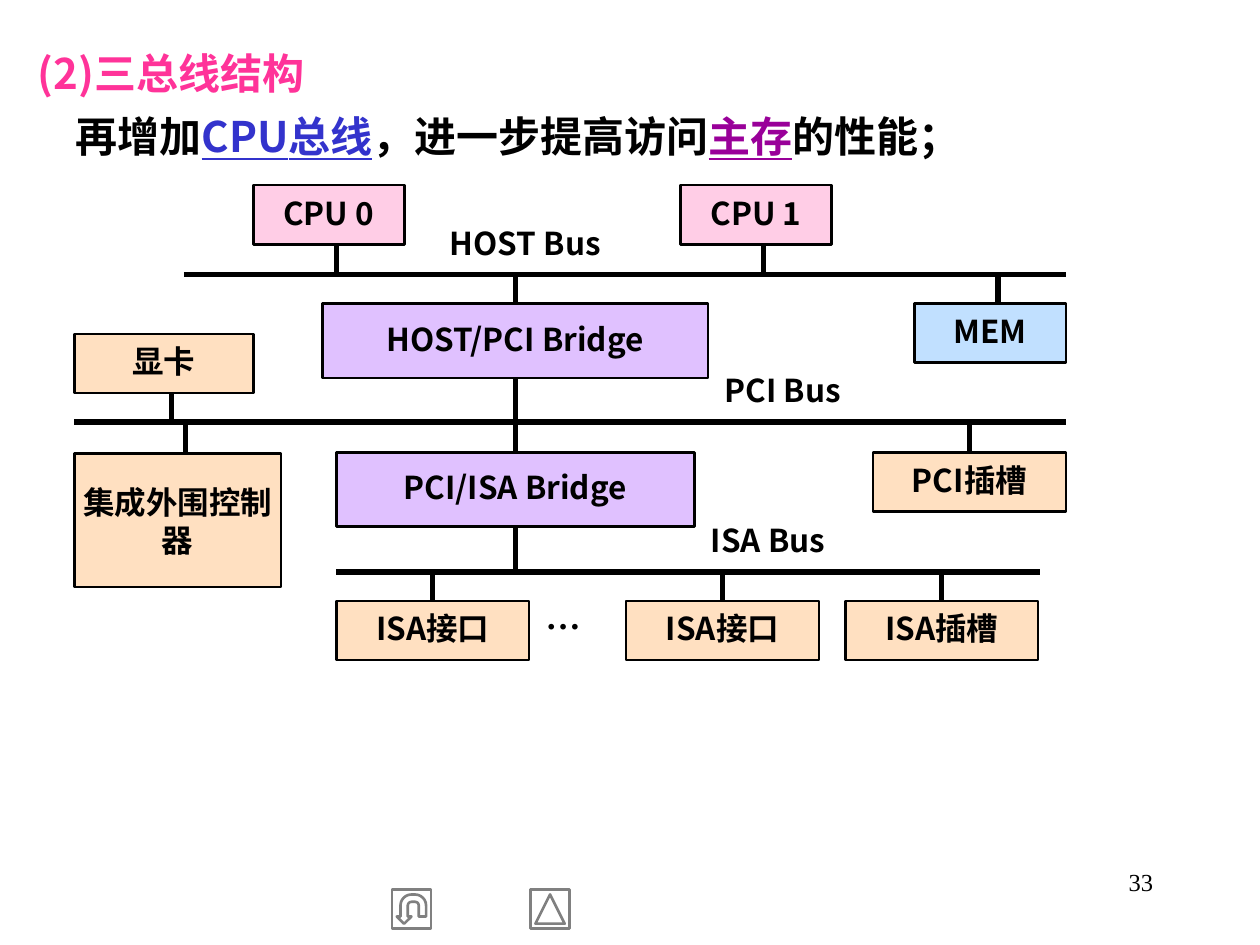
from typing import NamedTuple, Optional

from lxml.etree import SubElement
from pptx import Presentation
from pptx.dml.color import RGBColor
from pptx.enum.shapes import MSO_CONNECTOR, MSO_SHAPE
from pptx.enum.text import MSO_ANCHOR as ANCHOR, MSO_AUTO_SIZE as AUTO_SIZE, PP_ALIGN as ALIGN
from pptx.oxml.ns import qn
from pptx.util import Inches, Pt

BLACK = RGBColor(0x00, 0x00, 0x00)
GRAY = RGBColor(0x80, 0x80, 0x80)
PINK = RGBColor(0xFF, 0x33, 0x99)
BLUE = RGBColor(0x33, 0x33, 0xCC)
PURPLE = RGBColor(0x99, 0x00, 0x99)
CPU_FILL = RGBColor(0xFF, 0x99, 0xCC)
MEM_FILL = RGBColor(0x99, 0xCC, 0xFF)
BRIDGE_FILL = RGBColor(0xCC, 0x99, 0xFF)
CARD_FILL = RGBColor(0xFF, 0xCC, 0x99)
SANS, SERIF = "Noto Sans CJK SC", "Times New Roman"
HOST_Y, PCI_Y, ISA_Y = 2.18, 3.35, 4.54
TOP_SITE, BOTTOM_SITE = 0, 2


class Bus(NamedTuple):
    label: str
    y: float
    left: float
    right: float
    label_left: float
    label_width: float


class Device(NamedTuple):
    label: str
    left: float
    top: float
    width: float
    fill: RGBColor
    bus_above: Optional[float] = None
    bus_below: Optional[float] = None
    height: float = 0.47
    stub_shift: float = 0  # distance of the stub from the middle of the side
    opacity: int = 60
    line_spacing: object = 0.9


class Button(NamedTuple):
    shape: MSO_SHAPE
    left: float
    rotation: int


BUSES = [
    Bus("HOST Bus", HOST_Y, 1.46, 8.46, 3.55, 1.64),
    Bus("PCI Bus", PCI_Y, 0.59, 8.46, 5.73, 1.42),
    Bus("ISA Bus", ISA_Y, 2.67, 8.25, 5.62, 1.42),
]
DEVICES = [
    *(Device(f"CPU {number}", left, 1.47, 1.2, CPU_FILL, bus_below=HOST_Y,
             stub_shift=0.06, opacity=49)
      for number, left in enumerate((2.01, 5.4))),
    Device("HOST/PCI Bridge", 2.56, 2.41, 3.06, BRIDGE_FILL, HOST_Y, PCI_Y, height=0.59),
    Device("MEM", 7.26, 2.41, 1.2, MEM_FILL, HOST_Y, stub_shift=0.06),
    Device("显卡", 0.59, 2.65, 1.42, CARD_FILL, bus_below=PCI_Y, stub_shift=0.06),
    Device("集成外围控制器", 0.59, 3.6, 1.64, CARD_FILL, PCI_Y, height=1.06,
           stub_shift=0.06, line_spacing=Pt(22)),
    Device("PCI/ISA Bridge", 2.67, 3.59, 2.84, BRIDGE_FILL, PCI_Y, ISA_Y, height=0.59),
    Device("PCI插槽", 6.93, 3.59, 1.53, CARD_FILL, PCI_Y),
    *(Device(label, left, 4.77, 1.53, CARD_FILL, ISA_Y)
      for label, left in (("ISA接口", 2.67), ("ISA接口", 4.97), ("ISA插槽", 6.71))),
]
BUTTONS = [
    Button(MSO_SHAPE.ACTION_BUTTON_RETURN, 3.11, 180),
    Button(MSO_SHAPE.ACTION_BUTTON_BACK_OR_PREVIOUS, 4.21, 90),
]


def write(frame, text: str, *, size=18, color=BLACK, font=SANS, bold=True,
          underline=False, align=ALIGN.LEFT, spacing=None, anchor=ANCHOR.MIDDLE,
          margins=(0.02, 0.01)) -> None:
    """Append a run to the frame's paragraph and format both."""
    frame.word_wrap = True
    frame.auto_size = AUTO_SIZE.NONE
    frame.vertical_anchor = anchor
    frame.margin_left = frame.margin_right = Inches(margins[0])
    frame.margin_top = frame.margin_bottom = Inches(margins[1])
    paragraph = frame.paragraphs[0]
    paragraph.alignment = align
    paragraph.line_spacing = spacing
    run = paragraph.add_run()
    run.text = text
    run.font.size = Pt(size)
    run.font.bold = bold
    run.font.underline = underline
    run.font.color.rgb = color
    run.font.name = font
    SubElement(run.font._element, qn("a:ea"), typeface=font)


def place(shape, left: float, top: float, width: float, height: float) -> None:
    shape.left, shape.top = Inches(left), Inches(top)
    shape.width, shape.height = Inches(width), Inches(height)


def add_label(slide, text: str, left: float, top: float, width: float,
              height: float, **style) -> None:
    box = slide.shapes.add_textbox(*map(Inches, (left, top, width, height)))
    write(box.text_frame, text, **style)


def add_line(slide, x1: float, y1: float, x2: float, y2: float):
    line = slide.shapes.add_connector(
        MSO_CONNECTOR.STRAIGHT, *map(Inches, (x1, y1, x2, y2)))
    line.line.color.rgb = BLACK
    line.line.width = Pt(3)
    SubElement(line._element.spPr, qn("a:effectLst"))
    return line


def add_bus(slide, bus: Bus) -> None:
    add_line(slide, bus.left, bus.y, bus.right, bus.y)
    add_label(slide, bus.label, bus.label_left, bus.y - 0.47, bus.label_width, 0.47,
              spacing=0.9)


def add_device(slide, device: Device) -> None:
    """Draw the device's box and the stubs that tie it to its buses."""
    box = slide.shapes.add_shape(MSO_SHAPE.RECTANGLE, *map(
        Inches, (device.left, device.top, device.width, device.height)))
    box.shadow.inherit = False
    box.fill.solid()
    box.fill.fore_color.rgb = device.fill
    tint = box._element.spPr.find(qn("a:solidFill"))[0]
    SubElement(tint, qn("a:alpha"), val=str(device.opacity * 1000))
    box.line.color.rgb = BLACK
    box.line.width = Pt(1.5)
    write(box.text_frame, device.label, align=ALIGN.CENTER, spacing=device.line_spacing)

    x = device.left + device.width / 2 + device.stub_shift
    sides = ((device.bus_above, device.top, TOP_SITE),
             (device.bus_below, device.top + device.height, BOTTOM_SITE))
    for bus_y, side_y, site in sides:
        if bus_y is not None:
            stub = add_line(slide, x, bus_y, x, side_y)
            if not device.stub_shift:
                stub.end_connect(box, site)


def add_button(slide, button: Button) -> None:
    icon = slide.shapes.add_shape(
        button.shape, *map(Inches, (button.left, 7.06, 0.31, 0.31)))
    icon.rotation = button.rotation
    icon.shadow.inherit = False
    icon.fill.background()
    icon.line.color.rgb = GRAY
    icon.line.width = Pt(1.5)


def add_heading(slide) -> None:
    heading = dict(size=24, spacing=Pt(36), anchor=ANCHOR.TOP, margins=(0.1, 0.05))
    title, body = slide.shapes.title, slide.placeholders[1]
    place(title, 0.2, 0.23, 9.61, 0.6)
    write(title.text_frame, "(2)三总线结构", color=PINK, **heading)

    place(body, 0.2, 0.73, 9.61, 0.6)
    properties = body.text_frame.paragraphs[0]._p.get_or_add_pPr()
    properties.set("marL", str(Inches(0.3)))
    properties.set("indent", "0")
    SubElement(properties, qn("a:buNone"))
    body.text_frame.paragraphs[0].space_before = Pt(0)
    for text, color, underline in (
            ("再增加", BLACK, False), ("CPU总线", BLUE, True),
            ("，进一步提高访问", BLACK, False), ("主存", PURPLE, True),
            ("的性能；", BLACK, False)):
        write(body.text_frame, text, color=color, underline=underline, **heading)


def main() -> None:
    deck = Presentation()
    deck.slide_width, deck.slide_height = Inches(10), Inches(7.5)
    slide = deck.slides.add_slide(deck.slide_layouts[1])
    add_heading(slide)
    for bus in BUSES:
        add_bus(slide, bus)
    for device in DEVICES:
        add_device(slide, device)
    add_label(slide, "…", 4.31, 4.65, 0.54, 0.47, size=20, font=SERIF)
    add_label(slide, "33", 7.17, 6.83, 2.08, 0.5, size=14, font=SERIF, bold=False,
              align=ALIGN.RIGHT, anchor=ANCHOR.TOP, margins=(0.1, 0.05))
    for button in BUTTONS:
        add_button(slide, button)
    deck.save("out.pptx")


if __name__ == "__main__":
    main()
